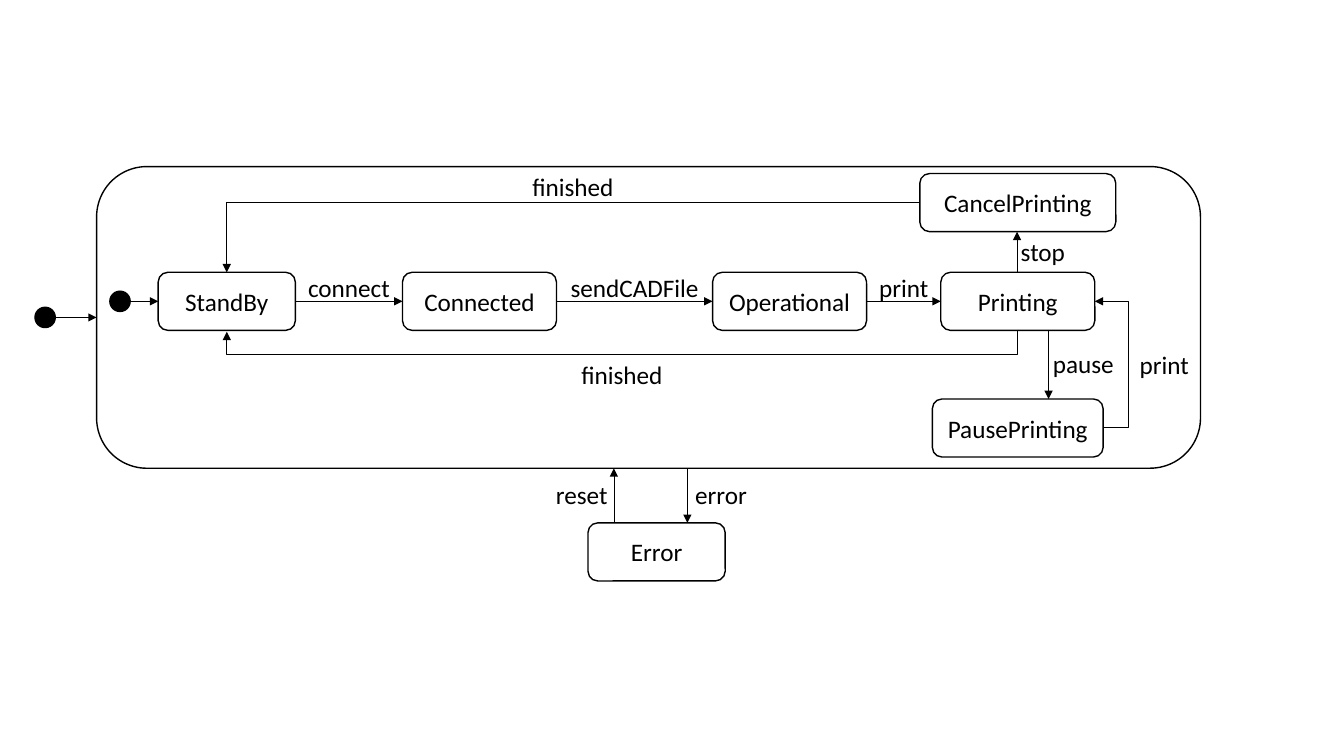
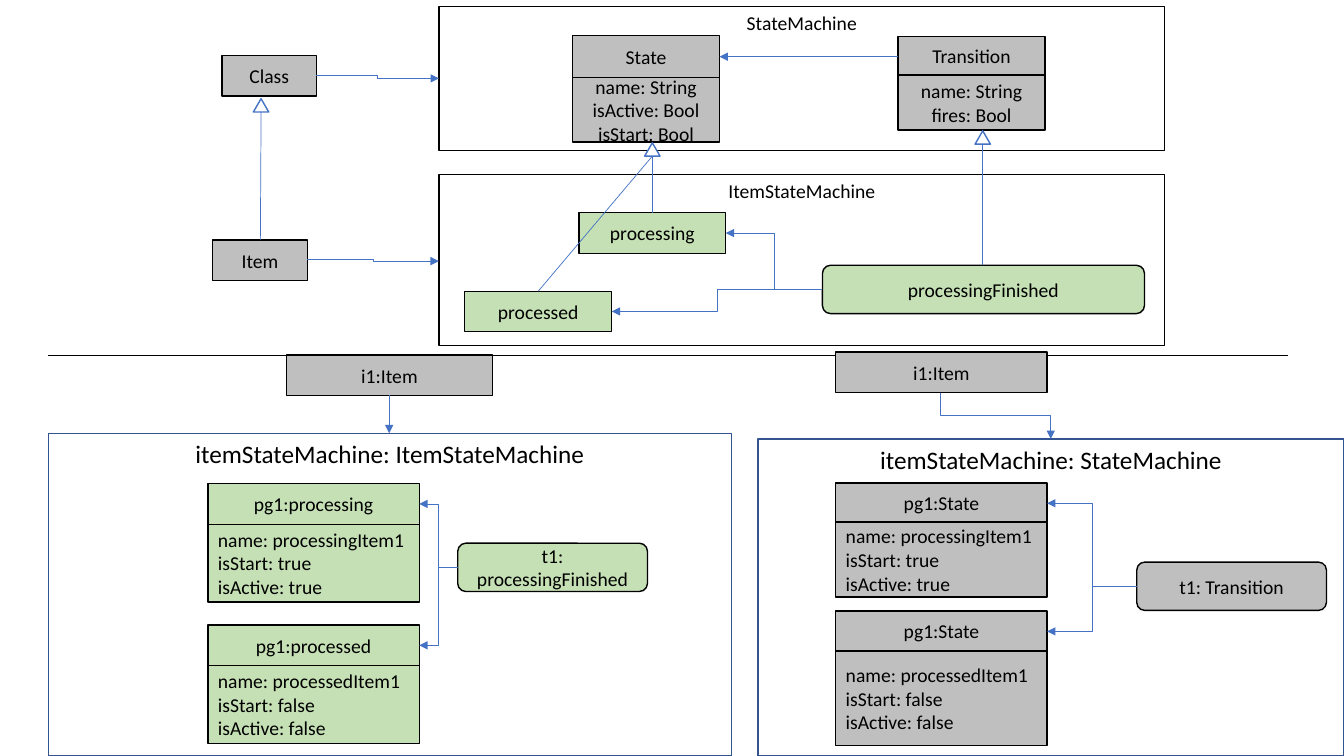
from lxml.etree import SubElement
from pptx import Presentation
from pptx.dml.color import RGBColor
from pptx.enum.shapes import MSO_CONNECTOR, MSO_SHAPE
from pptx.enum.text import MSO_ANCHOR, PP_ALIGN
from pptx.oxml.ns import qn
from pptx.util import Pt

HUES = {"ink": "000000", "paper": "FFFFFF", "gray": "BFBFBF",
        "green": "C5E0B4", "blue": "4472C4", "navy": "325491"}
FONT = "Calibri"
LEFT, MID = PP_ALIGN.LEFT, PP_ALIGN.CENTER
RECT, ROUND = MSO_SHAPE.RECTANGLE, MSO_SHAPE.ROUNDED_RECTANGLE

TOP, TALL, DOT = 194.5, 41.5, 14.5
AXIS = TOP + TALL / 2
FRAME = (69, 119, 788.5, 215.5)
BASE = FRAME[1] + FRAME[3]
ROW = [("StandBy", 113, 98), ("Connected", 287.5, 110),
       ("Operational", 509, 110), ("Printing", 672, 110)]
STEPS = ["connect", "sendCADFile", "print"]
EXTRAS = [("PausePrinting", 666, 285, 122), ("CancelPrinting", 657, 124, 140),
          ("Error", 420, 373.5, 98)]
DOTS = [(25, 226.75, FRAME[0]), (78.5, AXIS, ROW[0][1])]
NOTES = [
    ("finished", 162, 253, 564.5, MID), ("finished", 162, 119, 494.5, MID),
    ("pause", 745, 245, 64, LEFT), ("print", 807, 246, 56, LEFT),
    ("stop", 722, 165.5, 52, LEFT), ("reset", 390, 338.5, 79, LEFT),
    ("error", 489.5, 338.5, 58, LEFT),
]
MOVES = [
    ((749, TOP + TALL), (749, 285)),
    ((726.5, TOP), (726.5, 165.5)),
    ((491, BASE), (491, 373.5)),
    ((438.5, 373.5), (438.5, BASE)),
]

CARDS = [
    ("State", "name: String\nisActive: Bool\nisStart: Bool",
     409, 25.5, 105, 30, 46, "gray", MID),
    ("Transition", "name: String\nfires: Bool",
     641.5, 26, 105, 27.5, 39.5, "gray", MID),
    ("pg1:processing", "name: processingItem1\nisStart: true\nisActive: true",
     148.5, 345.5, 151, 29, 55.5, "green", LEFT),
    ("pg1:processed", "name: processedItem1\nisStart: false\nisActive: false",
     148.5, 446.5, 151, 29, 55.5, "green", LEFT),
    ("pg1:State", "name: processingItem1\nisStart: true\nisActive: true",
     597, 345, 151, 28, 53.5, "gray", LEFT),
    ("pg1:State", "name: processedItem1\nisStart: false\nisActive: false",
     597, 436.5, 151, 28.5, 67.5, "gray", LEFT),
]
BOXES = [
    ("Class", RECT, (158.5, 39.5, 67.5, 29), "gray"),
    ("Item", RECT, (152, 171.5, 67.5, 29), "gray"),
    ("processing", RECT, (413.5, 152, 105, 29), "green"),
    ("processed", RECT, (332, 208, 105, 29), "green"),
    ("processingFinished", ROUND, (587.5, 189.5, 230, 34.5), "green"),
    ("i1:Item", RECT, (204.5, 253.5, 147.5, 29), "gray"),
    ("i1:Item", RECT, (597, 251.5, 151, 29), "gray"),
    ("t1: processingFinished", ROUND, (327, 388, 135.5, 34.5), "green"),
    ("t1: Transition", ROUND, (812, 401.5, 135.5, 34.5), "gray"),
]
PANES = [
    ("StateMachine", (313.5, 4.5, 518.5, 103), 14, "ink"),
    ("ItemStateMachine", (313.5, 124.5, 518.5, 122.5), 14, "ink"),
    ("itemStateMachine: ItemStateMachine", (34.5, 309.5, 488, 230.5), 18, "navy"),
    ("itemStateMachine: StateMachine", (541.5, 313.5, 418.5, 226.5), 18, "navy"),
]
BENDS = [
    ((226, 54), (313.5, 56)), ((219.5, 185.5), (313.5, 186.5)),
    ((587.5, 206.5), (518.5, 166.5)), ((587.5, 206.5), (437, 222.5)),
    ((327, 405.5), (299.5, 360)), ((327, 405.5), (299.5, 461)),
    ((812, 419), (748, 359.5)), ((812, 419), (748, 451)),
]
DIRECT = [((641.5, 40.5), (514, 40.5)), ((278, 282.5), (278, 309.5))]
PEAKS = [(186.5, 70.5, [(186, 171.5)]),
         (466, 102, [(466, 152), (384.5, 208)]),
         (702, 93.5, [(702, 189.5)])]
PEAK = (11, 9.5)


def hue(name):
    return RGBColor.from_string(HUES[name])


def write(frame, text, size, align):
    frame.word_wrap = True
    frame.text = text
    for line in frame.paragraphs:
        line.alignment = align
        line.font.name = FONT
        line.font.size = Pt(size)
        line.font.color.rgb = hue("ink")


def block(slide, kind, area, fill=None, edge="ink", text="", size=14,
          align=MID, anchor=MSO_ANCHOR.MIDDLE):
    shape = slide.shapes.add_shape(kind, *map(Pt, area))
    shape.shadow.inherit = False
    if fill:
        shape.fill.solid()
        shape.fill.fore_color.rgb = hue(fill)
    else:
        shape.fill.background()
    shape.line.color.rgb = hue(edge)
    shape.line.width = Pt(1)
    if text:
        shape.text_frame.vertical_anchor = anchor
        write(shape.text_frame, text, size, align)


def label(slide, text, x, y, wide, align):
    box = slide.shapes.add_textbox(Pt(x), Pt(y), Pt(wide), Pt(29))
    write(box.text_frame, text, 18, align)


def link(slide, start, end, edge="ink", kind=MSO_CONNECTOR.STRAIGHT, head=True):
    line = slide.shapes.add_connector(kind, *map(Pt, start + end))
    line.line.color.rgb = hue(edge)
    line.line.width = Pt(0.5)
    props = line._element.spPr
    if head:
        SubElement(props.find(qn("a:ln")), qn("a:tailEnd"), type="triangle")
    SubElement(props, qn("a:effectLst"))
    return props


def elbow(slide, start, end, edge="ink", turn=None, down=False):
    axis = 1 if down else 0
    first, last = start, end
    if down:
        cx, cy = [(a + b) / 2 for a, b in zip(start, end)]
        sign = -1 if end[0] > start[0] else 1
        first, last = [(cx + sign * (y - cy), cy - sign * (x - cx))
                       for x, y in (start, end)]
    props = link(slide, first, last, edge, MSO_CONNECTOR.ELBOW)
    if down:
        props.find(qn("a:xfrm")).set("rot", str(sign * 90 % 360 * 60000))
    if turn is not None:
        part = (turn - start[axis]) / (end[axis] - start[axis])
        guides = props.find(qn("a:prstGeom")).find(qn("a:avLst"))
        SubElement(guides, qn("a:gd"), name="adj1", fmla=f"val {round(part * 100000)}")
    return props


def states(slide):
    block(slide, ROUND, FRAME)
    nodes = [(text, x, TOP, wide) for text, x, wide in ROW] + EXTRAS
    for text, x, y, wide in nodes:
        block(slide, ROUND, (x, y, wide, TALL), text=text, size=18)
    for step, (_, x, wide), (_, goal, _) in zip(STEPS, ROW, ROW[1:]):
        edge = x + wide
        link(slide, (edge, AXIS), (goal, AXIS))
        label(slide, step, edge, 191, goal - edge, MID)
    for x, y, goal in DOTS:
        block(slide, MSO_SHAPE.OVAL, (x, y - DOT / 2, DOT, DOT), "ink")
        link(slide, (x + DOT, y), (goal, y))
    for note in NOTES:
        label(slide, *note)
    for start, end in MOVES:
        link(slide, start, end)
    elbow(slide, (788, 305.5), (782, AXIS), turn=806)
    elbow(slide, (727, 236), (162, 237), turn=253.5, down=True)
    props = elbow(slide, (657, 144.75), (162, TOP))
    props.find(qn("a:prstGeom")).set("prst", "bentConnector2")


def classes(slide):
    for text, area, size, edge in PANES:
        block(slide, RECT, area, edge=edge, text=text, size=size,
              anchor=MSO_ANCHOR.TOP)
    for head, body, x, y, wide, high, deep, fill, align in CARDS:
        block(slide, RECT, (x, y, wide, high), fill, text=head)
        block(slide, RECT, (x, y + high, wide, deep), fill, text=body, align=align)
    link(slide, (34.5, 253.5), (920, 253.5), head=False)
    for text, kind, area, fill in BOXES:
        block(slide, kind, area, fill, text=text)
    for start, end in BENDS:
        elbow(slide, start, end, "blue")
    elbow(slide, (672, 280.5), (750.5, 313.5), "blue", down=True)
    for start, end in DIRECT:
        link(slide, start, end, "blue")
    wide, high = PEAK
    for x, y, ends in PEAKS:
        block(slide, MSO_SHAPE.ISOSCELES_TRIANGLE, (x - wide / 2, y, wide, high),
              "paper", "blue")
        for end in ends:
            link(slide, (x, y + high), end, "blue", head=False)


def main():
    deck = Presentation()
    deck.slide_width, deck.slide_height = Pt(960), Pt(540)
    for draw in (states, classes):
        draw(deck.slides.add_slide(deck.slide_layouts[6]))
    deck.save("out.pptx")


if __name__ == "__main__":
    main()
